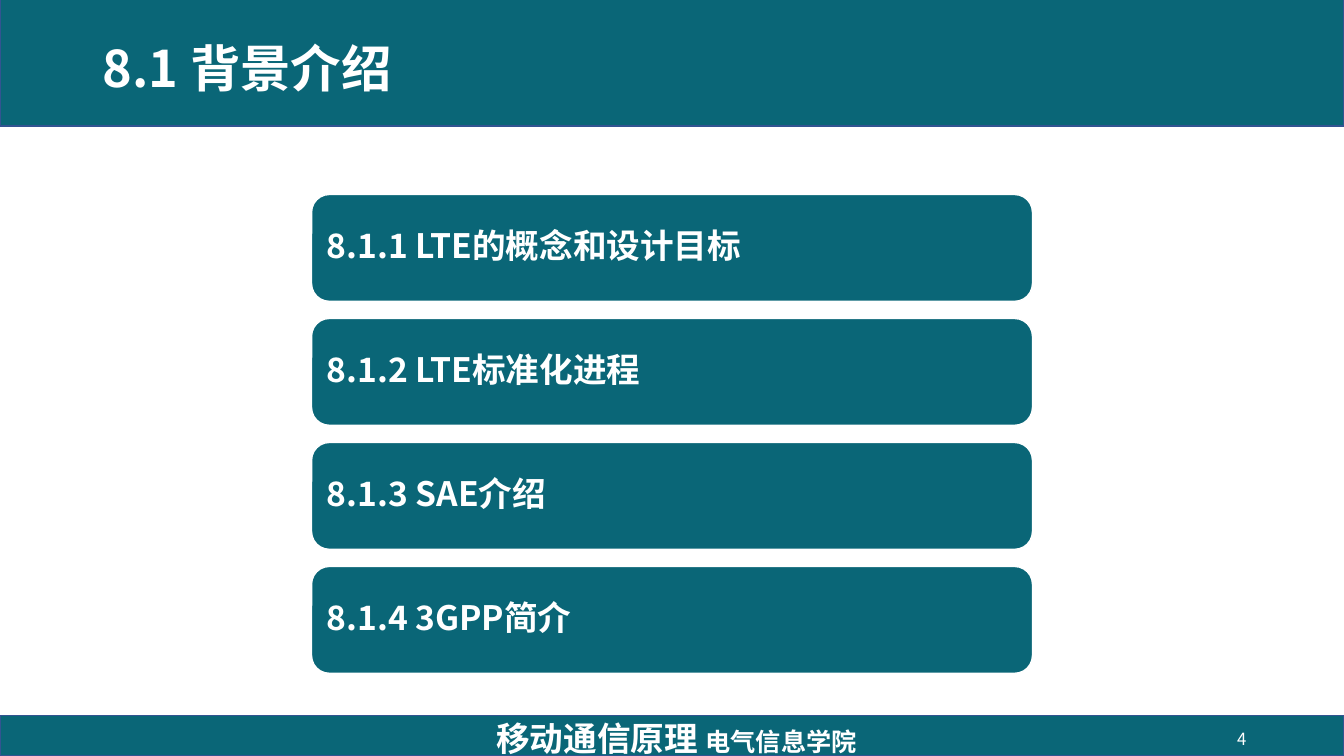
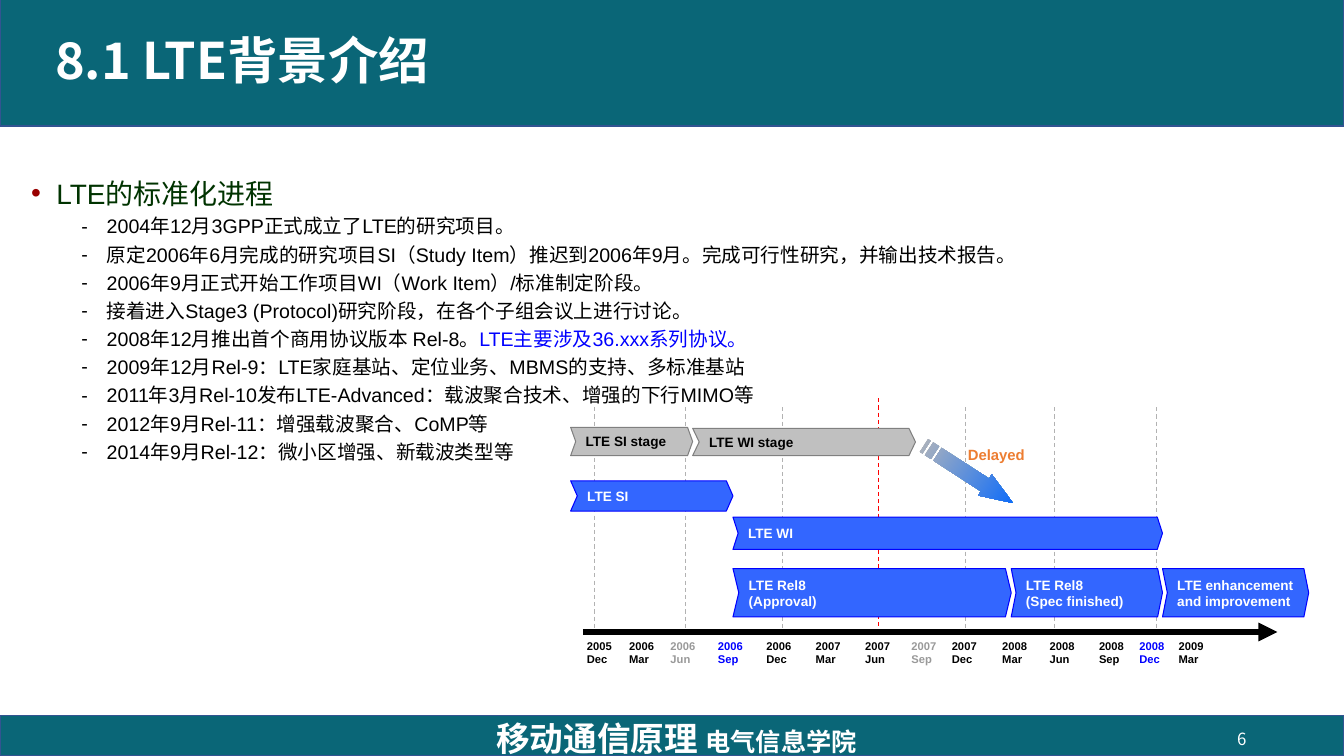
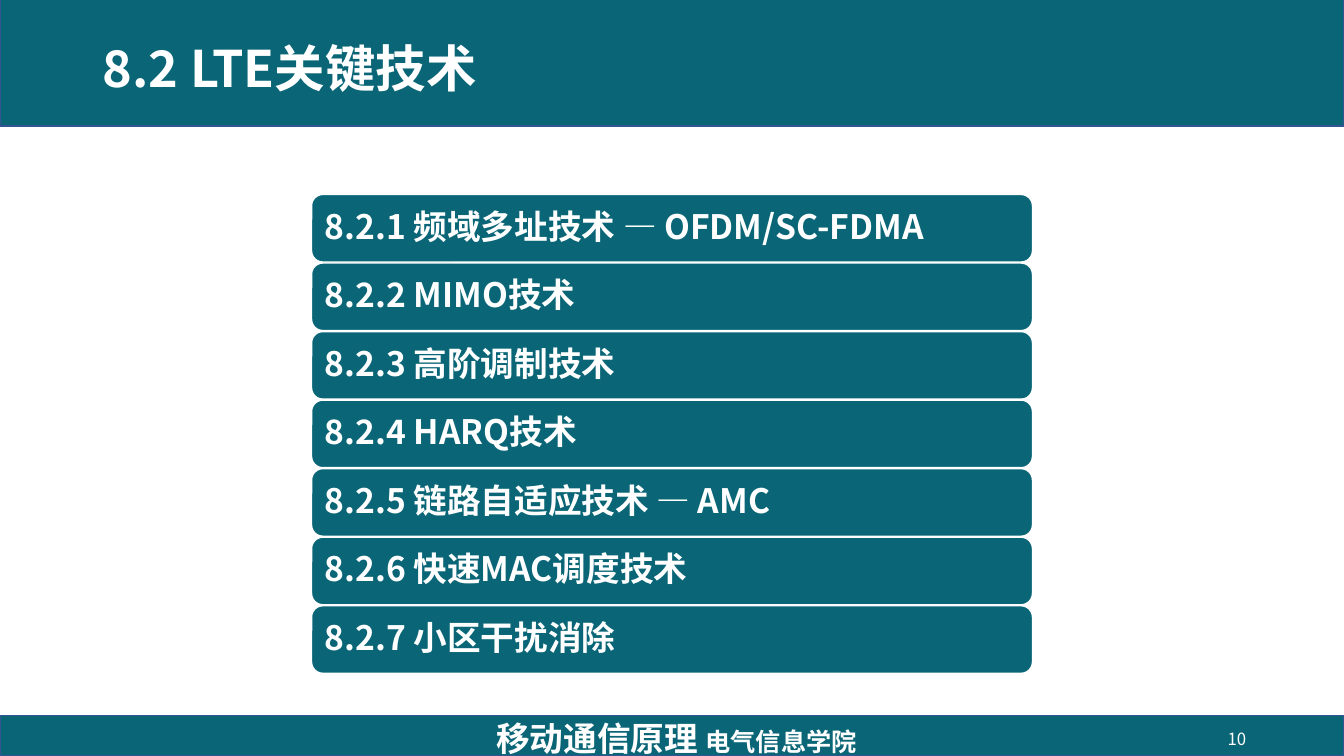
from lxml.etree import SubElement
from pptx import Presentation
from pptx.dml.color import RGBColor
from pptx.enum.dml import MSO_LINE
from pptx.enum.shapes import MSO_CONNECTOR, MSO_SHAPE
from pptx.enum.text import MSO_ANCHOR, PP_ALIGN
from pptx.oxml.ns import qn
from pptx.util import Inches, Pt

TEAL, EDGE, WHITE, BLACK = "0A6677", "325491", "FFFFFF", "000000"
GRAY, GRAY_EDGE, GRID, MUTED = "C0C0C0", "808080", "B2B2B2", "999999"
BLUE, BLUE_EDGE, RED, ORANGE = "3366FF", "0000FF", "FF0000", "ED7D31"
HEADING, MARK, ARROW_START, ARROW_END = "003300", "990000", "B8B8B8", "0066FF"
SANS, CJK = "Arial", "Noto Sans CJK SC"
DEFAULT_INSETS = (0.1, 0.05, 0.1, 0.05)


def rgb(value):
    """Turn a hex string into a colour."""
    return RGBColor.from_string(value)


def add_text(paragraph, text, size=14, color=WHITE, font=CJK, bold=False):
    """Add one formatted run, with the CJK face for Chinese characters."""
    run = paragraph.add_run()
    run.text = text
    run.font.size, run.font.bold, run.font.name = Pt(size), bold, font
    run.font.color.rgb = rgb(color)
    SubElement(run.font._element, qn("a:ea"), typeface=CJK)


def add_bullet(paragraph, char, indent, color):
    """Give a paragraph a hanging bullet."""
    properties = paragraph._p.get_or_add_pPr()
    properties.set("marL", str(Inches(indent)))
    properties.set("indent", str(Inches(-0.25)))
    bullet_color = SubElement(properties, qn("a:buClr"))
    SubElement(bullet_color, qn("a:srgbClr"), val=color)
    SubElement(properties, qn("a:buFont"), typeface=SANS)
    SubElement(properties, qn("a:buChar"), char=char)


class Deck:
    """Holds the presentation style and the current slide."""

    def __init__(self):
        """Start an empty widescreen presentation."""
        self.presentation = Presentation()
        self.presentation.slide_width = Inches(13.33)
        self.presentation.slide_height = Inches(7.5)
        self.slide = None

    def new_slide(self, title, number, title_box=(0.92, 0, 6.59, 1.42)):
        """Add a slide with its bands, title and footer."""
        layout = self.presentation.slide_layouts[6]
        self.slide = self.presentation.slides.add_slide(layout)
        for top, height in ((-0.01, 1.26), (7.1, 0.4)):
            self.shape(MSO_SHAPE.RECTANGLE, (0, top, 13.33, height), TEAL, EDGE)
        self.text(title_box, [title], spacing=0.9, size=36, bold=True)
        footer = self.text((4.46, 7.12, 4.5, 0.4), ["移动通信原理 "],
                           align=PP_ALIGN.CENTER, size=24, bold=True)
        add_text(footer.paragraphs[0], "电气信息学院", size=18, bold=True)
        self.text((9.46, 7.13, 3, 0.4), [str(number)],
                  align=PP_ALIGN.RIGHT, size=12)

    def fill_frame(self, frame, lines, anchor=MSO_ANCHOR.MIDDLE, wrap=True,
                   insets=DEFAULT_INSETS, align=PP_ALIGN.LEFT, spacing=None,
                   after=None, **style):
        """Write lines into a text frame, one paragraph each."""
        frame.word_wrap, frame.vertical_anchor = wrap, anchor
        (frame.margin_left, frame.margin_top,
         frame.margin_right, frame.margin_bottom) = map(Inches, insets)
        for index, line in enumerate(lines):
            paragraph = frame.add_paragraph() if index else frame.paragraphs[0]
            paragraph.alignment = align
            paragraph.line_spacing = spacing
            paragraph.space_after = after
            add_text(paragraph, line, **style)
        return frame

    def text(self, box, lines, **style):
        """Add a text box."""
        frame = self.slide.shapes.add_textbox(*map(Inches, box)).text_frame
        return self.fill_frame(frame, lines, **style)

    def shape(self, kind, box, fill, edge, weight=1):
        """Add a filled and outlined preset shape."""
        shape = self.slide.shapes.add_shape(kind, *map(Inches, box))
        shape.shadow.inherit = False
        shape.fill.solid()
        shape.fill.fore_color.rgb = rgb(fill)
        shape.line.color.rgb = rgb(edge)
        shape.line.width = Pt(weight)
        return shape

    def agenda(self, topics, height):
        """Stack equal topic bars over the content area."""
        pitch = (4.75 - height) / (len(topics) - 1)
        for index, topic in enumerate(topics):
            box = (3.09, 1.93 + index * pitch, 7.15, height)
            bar = self.shape(MSO_SHAPE.ROUNDED_RECTANGLE, box, TEAL, WHITE)
            self.fill_frame(bar.text_frame, [topic], insets=(0.1,) * 4,
                            spacing=0.9, after=Pt(8.4), size=24, bold=True)

    def outline(self, box, heading, items):
        """Add a bulleted heading with dashed items of (text, highlight)."""
        frame = self.text(box, [heading], anchor=MSO_ANCHOR.TOP,
                          size=20, color=HEADING, font=SANS)
        add_bullet(frame.paragraphs[0], "•", 0.25, MARK)
        for item, highlight in items:
            paragraph = frame.add_paragraph()
            paragraph.level = 1
            paragraph.line_spacing, paragraph.space_before = 0.9, Pt(5)
            add_bullet(paragraph, "-", 0.75, BLACK)
            add_text(paragraph, item, color=BLACK, font=SANS)
            if highlight:
                add_text(paragraph, highlight, color=BLUE_EDGE, font=SANS)

    def line(self, start, end, color, weight=0.75, dashed=True, arrow=False):
        """Add a straight line, dashed or with an arrowhead."""
        line = self.slide.shapes.add_connector(
            MSO_CONNECTOR.STRAIGHT, *map(Inches, start + end))
        line.line.color.rgb, line.line.width = rgb(color), Pt(weight)
        if dashed:
            line.line.dash_style = MSO_LINE.DASH
        if arrow:
            SubElement(line.line._get_or_add_ln(), qn("a:tailEnd"), type="triangle")
        SubElement(line._element.spPr, qn("a:effectLst"))

    def stage(self, box, notch, lines, fill=BLUE, edge=BLUE_EDGE, color=WHITE):
        """Add a labelled chevron for one stage of the timeline."""
        chevron = self.shape(MSO_SHAPE.CHEVRON, box, fill, edge, 0.75)
        chevron.adjustments[0] = notch
        self.fill_frame(chevron.text_frame, lines, wrap=False, size=9.7,
                        color=color, font=SANS, bold=True)

    def striped_arrow(self, left, top, angle, outlines):
        """Add a rotated gradient arrow made of several outlines."""
        builder = None
        for outline in outlines:
            points = [(Inches(left + x), Inches(top + y)) for x, y in outline]
            if builder is None:
                builder = self.slide.shapes.build_freeform(*points[0])
            else:
                builder.move_to(*points[0])
            builder.add_line_segments(points[1:], close=True)
        arrow = builder.convert_to_shape()
        arrow.shadow.inherit = False
        arrow.rotation = angle
        arrow.line.fill.background()
        arrow.fill.gradient()
        arrow.fill.gradient_angle = 0
        for stop, color in zip(arrow.fill.gradient_stops, (ARROW_START, ARROW_END)):
            stop.color.rgb = rgb(color)


def stripe(left, right):
    """Return the outline of one tail stripe of the arrow."""
    return [(left, 0.05), (right, 0.05), (right, 0.2), (left, 0.2)]


def draw_timeline(deck):
    """Draw the LTE schedule with its grid, stages and dates."""
    deck.line((8.71, 3.95), (8.71, 6.26), RED)
    for x in (5.9, 6.8, 7.76, 9.58, 10.46, 11.47):
        deck.line((x, 4.04), (x, 6.27), GRID)

    planned = {"fill": GRAY, "edge": GRAY_EDGE, "color": BLACK}
    deck.stage((6.87, 4.25, 2.21, 0.27), 0.24, ["LTE WI stage"], **planned)
    deck.stage((5.66, 4.24, 1.21, 0.28), 0.18, ["LTE SI stage"], **planned)
    deck.stage((5.66, 4.77, 1.61, 0.3), 0.22, ["LTE SI"])
    deck.stage((7.27, 5.13, 4.26, 0.32), 0.16, ["LTE WI"])
    releases = (
        (7.27, 2.76, 0.12, ["LTE Rel8", "(Approval)"]),
        (10.03, 1.5, 0.1, ["LTE Rel8", "(Spec finished)"]),
        (11.53, 1.45, 0.1, ["LTE enhancement", "and improvement"]),
    )
    for left, width, notch, lines in releases:
        deck.stage((left, 5.64, width, 0.48), notch, lines)

    label = {"insets": (0.08, 0.04, 0.08, 0.04), "wrap": False,
             "font": SANS, "bold": True}
    deck.text((9.52, 4.37, 0.79, 0.28), ["Delayed"], size=10.6,
              color=ORANGE, **label)
    head = [(0.16, 0.05), (0.72, 0.05), (0.72, 0), (1.05, 0.125),
            (0.72, 0.25), (0.72, 0.2), (0.16, 0.2)]
    deck.striped_arrow(9.08, 4.58, 32.9,
                       [head, stripe(0.06, 0.13), stripe(0, 0.03)])

    deck.line((5.78, 6.27), (12.67, 6.27), BLACK, 4.5, dashed=False, arrow=True)
    dates = (
        (5.74, "2005 Dec", BLACK), (6.16, "2006 Mar", BLACK),
        (6.57, "2006 Jun", MUTED), (7.04, "2006 Sep", BLUE_EDGE),
        (7.52, "2006 Dec", BLACK), (8.01, "2007 Mar", BLACK),
        (8.5, "2007 Jun", BLACK), (8.96, "2007 Sep", MUTED),
        (9.36, "2007 Dec", BLACK), (9.86, "2008 Mar", BLACK),
        (10.33, "2008 Jun", BLACK), (10.82, "2008 Sep", BLACK),
        (11.22, "2008 Dec", BLUE_EDGE), (11.61, "2009 Mar", BLACK),
    )
    for left, date, color in dates:
        deck.text((left, 6.3, 0.41, 0.35), date.split(), size=8, color=color,
                  anchor=MSO_ANCHOR.TOP, **label)


deck = Deck()

deck.new_slide("8.1 背景介绍", 4)
deck.agenda(["8.1.1 LTE的概念和设计目标", "8.1.2 LTE标准化进程",
             "8.1.3 SAE介绍", "8.1.4 3GPP简介"], height=1.06)

deck.new_slide("8.1 LTE背景介绍", 6, title_box=(0.45, -0.1, 11.5, 1.45))
deck.outline((0.21, 1.7, 11.11, 3.57), "LTE的标准化进程", [
    ("2004年12月3GPP正式成立了LTE的研究项目。", ""),
    ("原定2006年6月完成的研究项目SI（Study Item）推迟到2006年9月。"
     "完成可行性研究，并输出技术报告。", ""),
    ("2006年9月正式开始工作项目WI（Work Item）/标准制定阶段。", ""),
    ("接着进入Stage3 (Protocol)研究阶段，在各个子组会议上进行讨论。", ""),
    ("2008年12月推出首个商用协议版本 Rel-8。", "LTE主要涉及36.xxx系列协议。"),
    ("2009年12月Rel-9：LTE家庭基站、定位业务、MBMS的支持、多标准基站", ""),
    ("2011年3月Rel-10发布LTE-Advanced：载波聚合技术、增强的下行MIMO等", ""),
    ("2012年9月Rel-11：增强载波聚合、CoMP等", ""),
    ("2014年9月Rel-12：微小区增强、新载波类型等", ""),
])
draw_timeline(deck)

deck.new_slide("8.2 LTE关键技术", 10)
deck.agenda(["8.2.1 频域多址技术 — OFDM/SC-FDMA", "8.2.2 MIMO技术",
             "8.2.3 高阶调制技术", "8.2.4 HARQ技术",
             "8.2.5 链路自适应技术 — AMC", "8.2.6 快速MAC调度技术",
             "8.2.7 小区干扰消除"], height=0.67)

deck.presentation.save("out.pptx")
